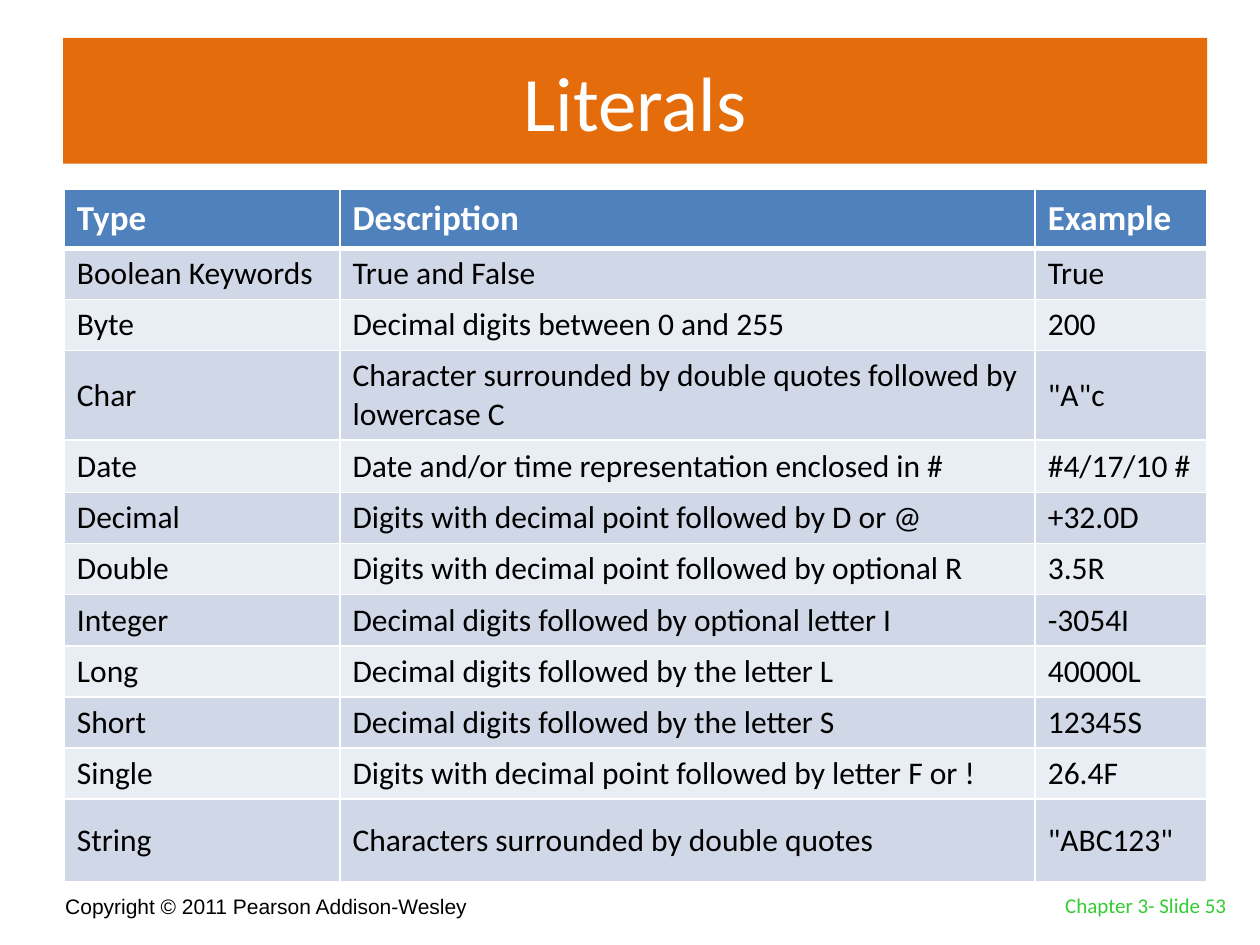
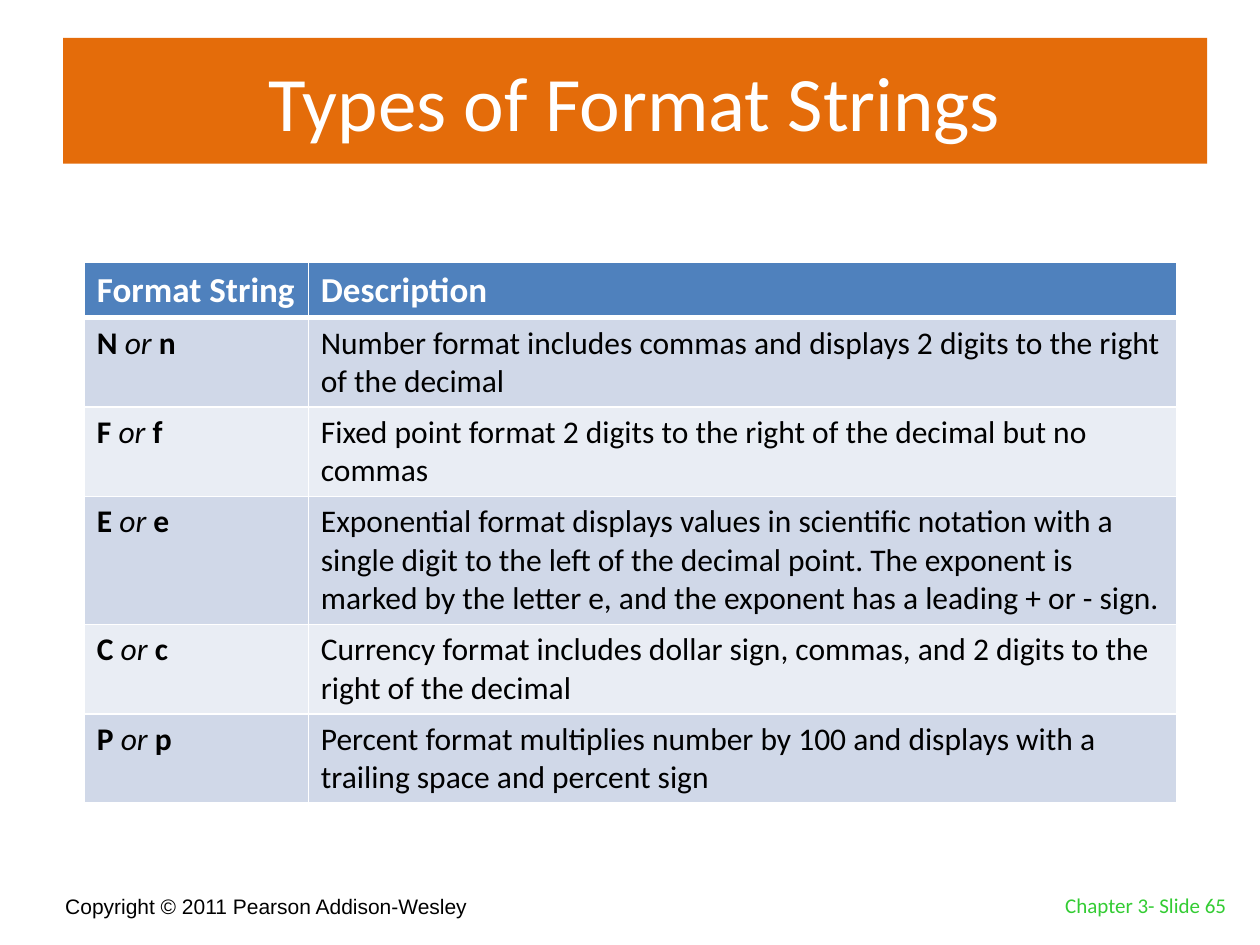
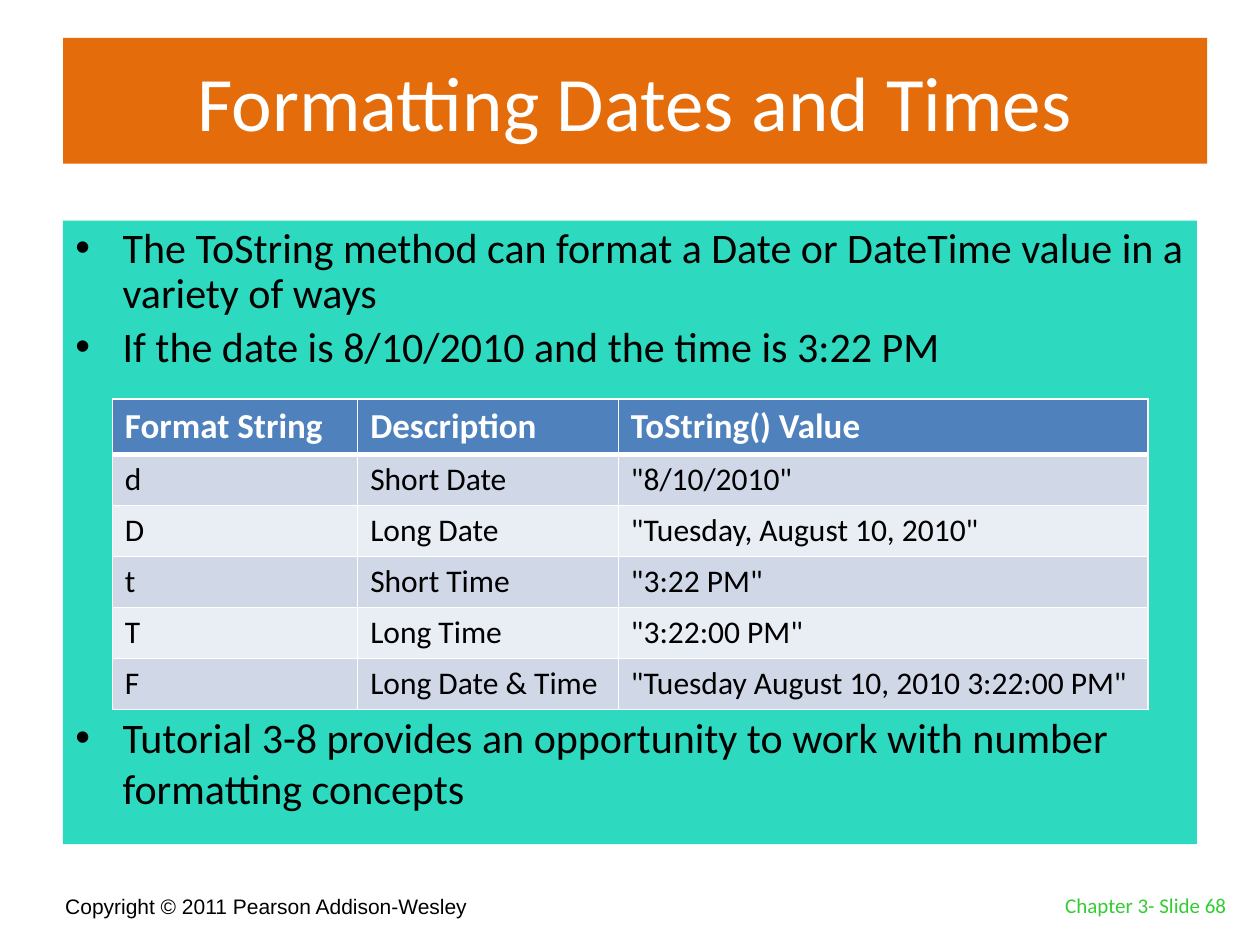
"""Build three slides on literals and format strings."""
import lxml.etree
import pptx
import pptx.dml.color
import pptx.enum.shapes
import pptx.enum.text
import pptx.oxml.ns
import pptx.util

Pt = pptx.util.Pt
RGBColor = pptx.dml.color.RGBColor
ALIGN = pptx.enum.text.PP_ALIGN
ANCHOR = pptx.enum.text.MSO_ANCHOR

WHITE = RGBColor(0xFF, 0xFF, 0xFF)
BLACK = RGBColor(0x00, 0x00, 0x00)
ORANGE = RGBColor(0xE4, 0x6C, 0x0A)
TEAL = RGBColor(0x2D, 0xD9, 0xBF)
GREEN = RGBColor(0x33, 0xCC, 0x33)
HEADER_BLUE = RGBColor(0x4F, 0x81, 0xBD)
BAND_COLORS = (RGBColor(0xE9, 0xED, 0xF4), RGBColor(0xD0, 0xD8, 0xE8))

COPYRIGHT = "Copyright © 2011 Pearson Addison-Wesley"
TITLE_AREA = (36, 21.6, 653.8, 72)
COPYRIGHT_AREA = (30.2, 498.2, 437.8, 30.2)
NUMBER_AREA = (558, 491.8, 149.8, 36)
PANEL_AREA = (36, 126, 648, 356.4)
HEADER_SIZE, CELL_SIZE = 20, 18
HEADER_ROW, ONE_LINE, TWO_LINES, THREE_LINES = 31.6, 29.2, 51.1, 73.1


def letter_pair(letter):
    """Return the runs naming a format letter in both cases."""
    return [(letter + " ", True, False), ("or", False, True), (" " + letter.lower(), True, False)]


SLIDES = [
    {
        "title": "Literals",
        "number": 53,
        "origin": (36.8, 108),
        "anchor": ANCHOR.MIDDLE,
        "columns": (157.5, 397.3, 98.2),
        "heights": [34, ONE_LINE, ONE_LINE, TWO_LINES, 30] + [ONE_LINE] * 6 + [47.5],
        "rows": [
            ("Type", "Description", "Example"),
            ("Boolean Keywords", "True and False", "True"),
            ("Byte", "Decimal digits between 0 and 255", "200"),
            ("Char", "Character surrounded by double quotes followed by lowercase C", '"A"c'),
            ("Date", "Date and/or time representation enclosed in #", "#4/17/10 #"),
            ("Decimal", "Digits with decimal point followed by D or @", "+32.0D"),
            ("Double", "Digits with decimal point followed by optional R", "3.5R"),
            ("Integer", "Decimal digits followed by optional letter I", "-3054I"),
            ("Long", "Decimal digits followed by the letter L", "40000L"),
            ("Short", "Decimal digits followed by the letter S", "12345S"),
            ("Single", "Digits with decimal point followed by letter F or !", "26.4F"),
            ("String", "Characters surrounded by double quotes", '"ABC123"'),
        ],
    },
    {
        "title": "Types of Format Strings",
        "number": 65,
        "origin": (48.2, 150),
        "anchor": ANCHOR.TOP,
        "columns": (128, 496),
        "heights": [HEADER_ROW, TWO_LINES, TWO_LINES, THREE_LINES, TWO_LINES, TWO_LINES],
        "rows": [
            ("Format String", "Description"),
            (letter_pair("N"), "Number format includes commas and displays 2 digits to the right of the decimal"),
            (letter_pair("F"), "Fixed point format 2 digits to the right of the decimal but no commas"),
            (letter_pair("E"), "Exponential format displays values in scientific notation with a single digit "
             "to the left of the decimal point. The exponent is marked by the letter e, and the exponent has "
             "a leading + or - sign."),
            (letter_pair("C"), "Currency format includes dollar sign, commas, and 2 digits to the right of the decimal"),
            (letter_pair("P"), "Percent format multiplies number by 100 and displays with a trailing space and percent sign"),
        ],
    },
    {
        "title": "Formatting Dates and Times",
        "number": 68,
        "bullets": [
            ("The ToString method can format a Date or DateTime value in a variety of ways", 0, 0.9),
            ("If the date is 8/10/2010 and the time is 3:22 PM", 4.8, 0.9),
            ("Tutorial 3-8 provides an opportunity to work with number formatting concepts", 194.7, 1),
        ],
        "origin": (64.2, 228),
        "anchor": ANCHOR.TOP,
        "columns": (140.2, 149, 302.6),
        "heights": [HEADER_ROW] + [ONE_LINE] * 5,
        "rows": [
            ("Format String", "Description", "ToString() Value"),
            ("d", "Short Date", '"8/10/2010"'),
            ("D", "Long Date", '"Tuesday, August 10, 2010"'),
            ("t", "Short Time", '"3:22 PM"'),
            ("T", "Long Time", '"3:22:00 PM"'),
            ("F", "Long Date & Time", '"Tuesday August 10, 2010 3:22:00 PM"'),
        ],
    },
]


def write_text(para, text, size=CELL_SIZE, color=BLACK, font="Calibri", bold=False, align=ALIGN.LEFT):
    """Write a string, or a list of (text, bold, italic) runs, into a paragraph."""
    para.alignment = align
    runs = [(text, bold, False)] if isinstance(text, str) else text
    for words, is_bold, is_italic in runs:
        span = para.add_run()
        span.text = words
        span.font.name = font
        span.font.size = Pt(size)
        span.font.color.rgb = color
        span.font.bold = is_bold
        span.font.italic = is_italic


def add_box(page, area, anchor, fill=None):
    """Add a text box, or a filled rectangle, and return its text frame."""
    place = [Pt(length) for length in area]
    if fill is None:
        box = page.shapes.add_textbox(*place)
    else:
        box = page.shapes.add_shape(pptx.enum.shapes.MSO_SHAPE.RECTANGLE, *place)
        box.shadow.inherit = False
        box.fill.solid()
        box.fill.fore_color.rgb = fill
        box.line.fill.background()
    frame = box.text_frame
    frame.word_wrap = True
    frame.vertical_anchor = anchor
    return frame


def add_bullets(page, bullets):
    """Add the panel with its bulleted paragraphs."""
    frame = add_box(page, PANEL_AREA, ANCHOR.TOP, TEAL)
    for index, (text, space_before, line_spacing) in enumerate(bullets):
        para = frame.add_paragraph() if index else frame.paragraphs[0]
        properties = para._p.get_or_add_pPr()
        properties.set("marL", str(Pt(27)))
        properties.set("indent", str(-Pt(27)))
        bullet_font = lxml.etree.SubElement(properties, pptx.oxml.ns.qn("a:buFont"))
        bullet_font.set("typeface", "Arial")
        lxml.etree.SubElement(properties, pptx.oxml.ns.qn("a:buChar")).set("char", "•")
        para.space_before = Pt(space_before)
        para.line_spacing = float(line_spacing)
        write_text(para, text, size=24)


def set_borders(cell, row_index):
    """Give a cell white borders, with a heavy rule under the header row."""
    properties = cell._tc.get_or_add_tcPr()
    widths = {"L": 1, "R": 1, "T": 3 if row_index == 1 else 1, "B": 3 if row_index == 0 else 1}
    for side, width in widths.items():
        line = lxml.etree.SubElement(properties, pptx.oxml.ns.qn("a:ln" + side))
        line.set("w", str(Pt(width)))
        fill = lxml.etree.SubElement(line, pptx.oxml.ns.qn("a:solidFill"))
        lxml.etree.SubElement(fill, pptx.oxml.ns.qn("a:srgbClr")).set("val", str(WHITE))


def add_grid(page, content):
    """Add the banded table of a slide."""
    rows, columns, heights = content["rows"], content["columns"], content["heights"]
    area = (*content["origin"], sum(columns), sum(heights))
    table = page.shapes.add_table(len(rows), len(columns), *[Pt(length) for length in area]).table
    table.first_row = table.horz_banding = False
    for column, width in zip(table.columns, columns):
        column.width = Pt(width)
    for row_index, (texts, height) in enumerate(zip(rows, heights)):
        table.rows[row_index].height = Pt(height)
        is_header = row_index == 0
        for column_index, text in enumerate(texts):
            cell = table.cell(row_index, column_index)
            set_borders(cell, row_index)
            cell.fill.solid()
            cell.fill.fore_color.rgb = HEADER_BLUE if is_header else BAND_COLORS[row_index % 2]
            cell.vertical_anchor = content["anchor"]
            write_text(cell.text_frame.paragraphs[0], text, bold=is_header,
                       size=HEADER_SIZE if is_header else CELL_SIZE,
                       color=WHITE if is_header else BLACK)


def add_page(deck, content):
    """Add one slide with its title band, footers and content."""
    page = deck.slides.add_slide(deck.slide_layouts[6])
    copyright_frame = add_box(page, COPYRIGHT_AREA, ANCHOR.BOTTOM)
    write_text(copyright_frame.paragraphs[0], COPYRIGHT, size=12, font="Arial")
    title_frame = add_box(page, TITLE_AREA, ANCHOR.MIDDLE, ORANGE)
    write_text(title_frame.paragraphs[0], content["title"], size=44, color=WHITE, align=ALIGN.CENTER)
    number_frame = add_box(page, NUMBER_AREA, ANCHOR.BOTTOM)
    write_text(number_frame.paragraphs[0], f"Chapter 3- Slide {content['number']}",
               size=12, color=GREEN, align=ALIGN.RIGHT)
    if "bullets" in content:
        add_bullets(page, content["bullets"])
    add_grid(page, content)


def main():
    """Build and save the deck."""
    deck = pptx.Presentation()
    deck.slide_width, deck.slide_height = Pt(720), Pt(540)
    for content in SLIDES:
        add_page(deck, content)
    deck.save("out.pptx")


if __name__ == "__main__":
    main()
